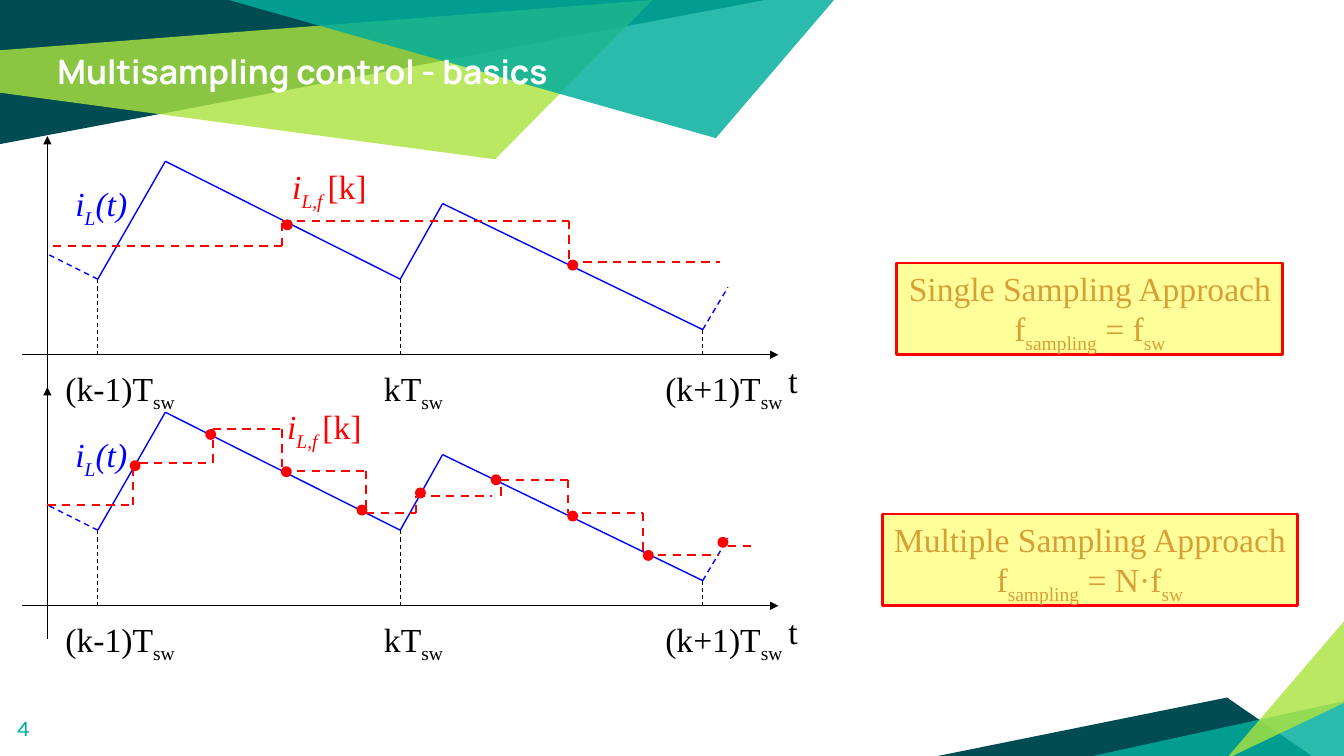
"""Build a slide that compares single and multiple sampling of a current wave."""
from dataclasses import dataclass
from itertools import pairwise

from lxml import etree
from pptx import Presentation, util as u
from pptx.dml.color import RGBColor
from pptx.enum import dml, shapes, text
from pptx.oxml.ns import qn


@dataclass(frozen=True)
class Theme:
    dark: str = "004C52"
    lime: str = "ABE33F"
    teal: str = "00AE9D"
    white: str = "FFFFFF"
    black: str = "000000"
    blue: str = "0000FF"
    red: str = "FF0000"
    gold: str = "D89F39"
    cream: str = "FFFF99"
    serif: str = "Times New Roman"
    head: str = "Manrope"
    sans: str = "Karla"
    big: int = 24
    small: int = 16
    thin: float = 0.75
    wave: float = 1
    step: float = 1.5
    edge: float = 2


T = Theme()
WIDE, HIGH = 13.33, 7.5

BANDS = [
    (T.dark, 100, [(0, 0), (0, 1.43), (7.59, 0)]),
    (T.lime, 81, [(-0.01, 0.5), (0, 0.92), (4.91, 1.58), (6.47, 0)]),
    (T.dark, 100, [(9.3, 7.5), (13.01, 7.5), (12.17, 6.92)]),
    (T.teal, 83, [(13.36, 6.95), (13.36, 7.53), (10.7, 7.53)]),
    (T.lime, 81, [(13.36, 6.96), (13.36, 6.13), (12.16, 7.53)]),
    (T.teal, 83, [(2.27, 0), (7.1, 1.37), (8.28, -0.01), (8.12, 0)]),
]
HEADS = [
    ("4", (0.04, 6.93, 0.8, 0.57), T.small, T.sans, T.teal, False),
    ("Multisampling control - basics", (0.44, 0.34, 5.19, 0.73), T.big, T.head, T.white, True),
]

AXES = [[(0, -0.33), (0, 2.17)], [(-0.25, 0), (7.25, 0)]]
WAVE = [(0.5, 0.75), (1.17, 1.92), (3.5, 0.75), (3.92, 1.5), (6.5, 0.25)]
ENDS = [[WAVE[0], (0, 1)], [WAVE[-1], (6.75, 0.67)]]
DROPS = [[(x, y), (x, 0)] for x, y in WAVE[::2]]
MARKS = [
    ((0.08, -0.08), 1.32, T.black, [("(k-1)T", ""), ("sw", "s")]),
    ((3.24, -0.08), 0.82, T.black, [("kT", ""), ("sw", "s")]),
    ((6.03, -0.08), 1.39, T.black, [("(k+1)T", ""), ("sw", "s")]),
    ((7.25, 0), 0.29, T.black, [("t", "")]),
    ((0.18, 1.75), 0.74, T.blue, [("i", "i"), ("L", "is"), ("(t)", "i")]),
]
HELD = [("i", "i"), ("L,f ", "is"), ("[k]", "")]

PLOTS = [
    {
        "base": 3.52, "held": (2.33, 1.92),
        "dots": [(2.38, 1.29), (5.21, 0.89)],
        "steps": [[(2.33, 1.08), (0, 1.08)],
                  [(2.33, 1.08), (2.33, 1.33), (5.17, 1.33), (5.17, 0.92), (6.67, 0.92)]],
        "note": ["Single Sampling Approach", " = f"], "span": 3.83,
    },
    {
        "base": 6.01, "held": (2.28, 2.03),
        "dots": [(0.87, 1.39), (1.62, 1.7), (2.37, 1.33), (3.12, 0.95), (3.7, 1.12),
                 (4.45, 1.25), (5.21, 0.89), (5.96, 0.5), (6.7, 0.63)],
        "steps": [[(0, 1), (0.85, 1), (0.85, 1.34)],
                  [(0.91, 1.42), (1.64, 1.42), (1.64, 1.75), (2.33, 1.75), (2.33, 1.34),
                   (3.16, 1.34), (3.16, 0.92), (3.66, 0.92), (3.66, 1.09), (4.41, 1.09)],
                  [(4.5, 1.09), (4.5, 1.25), (5.16, 1.25), (5.16, 0.92), (5.91, 0.92),
                   (5.91, 0.5), (6.66, 0.5)],
                  [(6.75, 0.59), (7, 0.59)]],
        "note": ["Multiple Sampling Approach", " = N·f"], "span": 4.12,
    },
]
LEFT, DOT, ROW = 0.47, 0.08, 0.5
NOTE_MID, NOTE_HIGH = 10.81, 0.91


def rgb(code):
    return RGBColor.from_string(code)


def inch(*sides):
    return [u.Inches(side) for side in sides]


def paint(shape, fill, line=None):
    shape.shadow.inherit = False
    shape.fill.solid()
    shape.fill.fore_color.rgb = rgb(fill)
    if line:
        shape.line.color.rgb = rgb(line)
        shape.line.width = u.Pt(T.edge)
    else:
        shape.line.fill.background()


def write(para, runs, color, size=T.big, face=T.serif, bold=False):
    for words, flags in runs:
        run = para.add_run()
        run.text = words
        font = run.font
        font.size, font.name, font.bold = u.Pt(size), face, bold
        font.italic = "i" in flags
        font.color.rgb = rgb(color)
        if "s" in flags:
            run._r.get_or_add_rPr().set("baseline", "-25000")


def draw_band(slide, color, alpha, points):
    first, *rest = [inch(*point) for point in points]
    pen = slide.shapes.build_freeform(*first)
    pen.add_line_segments(rest)
    band = pen.convert_to_shape()
    paint(band, color)
    if alpha < 100:
        tone = band.element.xpath(".//a:solidFill/a:srgbClr")[0]
        etree.SubElement(tone, qn("a:alpha")).set("val", str(alpha * 1000))


def draw_head(slide, words, box, size, face, color, bold):
    frame = slide.shapes.add_textbox(*inch(*box)).text_frame
    frame.word_wrap = True
    frame.vertical_anchor = text.MSO_ANCHOR.MIDDLE
    frame.margin_left = frame.margin_right = u.Inches(0.13)
    frame.margin_top = frame.margin_bottom = u.Inches(0.13)
    write(frame.paragraphs[0], [(words, "")], color, size, face, bold)


def draw_path(slide, base, points, color, width, dash=False, arrow=False):
    spots = [inch(LEFT + x, base - y) for x, y in points]
    for start, end in pairwise(spots):
        link = slide.shapes.add_connector(shapes.MSO_CONNECTOR.STRAIGHT, *start, *end)
        link.line.color.rgb = rgb(color)
        link.line.width = u.Pt(width)
        if dash:
            link.line.dash_style = dml.MSO_LINE.DASH
        props = link.element.spPr
        if arrow:
            etree.SubElement(props.find(qn("a:ln")), qn("a:tailEnd")).set("type", "triangle")
        etree.SubElement(props, qn("a:effectLst"))


def draw_mark(slide, base, spot, span, color, runs):
    x, y = spot
    frame = slide.shapes.add_textbox(*inch(LEFT + x, base - y, span, ROW)).text_frame
    frame.word_wrap = False
    write(frame.paragraphs[0], runs, color)


def draw_dot(slide, base, x, y):
    box = inch(LEFT + x - DOT / 2, base - y - DOT / 2, DOT, DOT)
    paint(slide.shapes.add_shape(shapes.MSO_SHAPE.OVAL, *box), T.red, T.red)


def draw_note(slide, base, title, rate, span):
    box = inch(NOTE_MID - span / 2, base - NOTE_HIGH, span, NOTE_HIGH)
    note = slide.shapes.add_shape(shapes.MSO_SHAPE.RECTANGLE, *box)
    paint(note, T.cream, T.red)
    frame = note.text_frame
    frame.word_wrap = False
    frame.vertical_anchor = text.MSO_ANCHOR.TOP
    rule = [("f", ""), ("sampling", "s"), (rate, ""), ("sw", "s")]
    for para, runs in ((frame.paragraphs[0], [(title, "")]), (frame.add_paragraph(), rule)):
        para.alignment = text.PP_ALIGN.CENTER
        write(para, runs, T.gold)


def draw_plot(slide, plot):
    base = plot["base"]
    for axis in AXES:
        draw_path(slide, base, axis, T.black, T.thin, arrow=True)
    for drop in DROPS:
        draw_path(slide, base, drop, T.black, T.thin, dash=True)
    draw_path(slide, base, WAVE, T.blue, T.wave)
    for end in ENDS:
        draw_path(slide, base, end, T.blue, T.wave, dash=True)
    for step in plot["steps"]:
        draw_path(slide, base, step, T.red, T.step, dash=True)
    for dot in plot["dots"]:
        draw_dot(slide, base, *dot)
    for mark in MARKS + [(plot["held"], 1, T.red, HELD)]:
        draw_mark(slide, base, *mark)
    draw_note(slide, base, *plot["note"], plot["span"])


def main():
    deck = Presentation()
    deck.slide_width, deck.slide_height = inch(WIDE, HIGH)
    slide = deck.slides.add_slide(deck.slide_layouts[6])
    for band in BANDS:
        draw_band(slide, *band)
    for head in HEADS:
        draw_head(slide, *head)
    for plot in PLOTS:
        draw_plot(slide, plot)
    deck.save("out.pptx")


if __name__ == "__main__":
    main()
